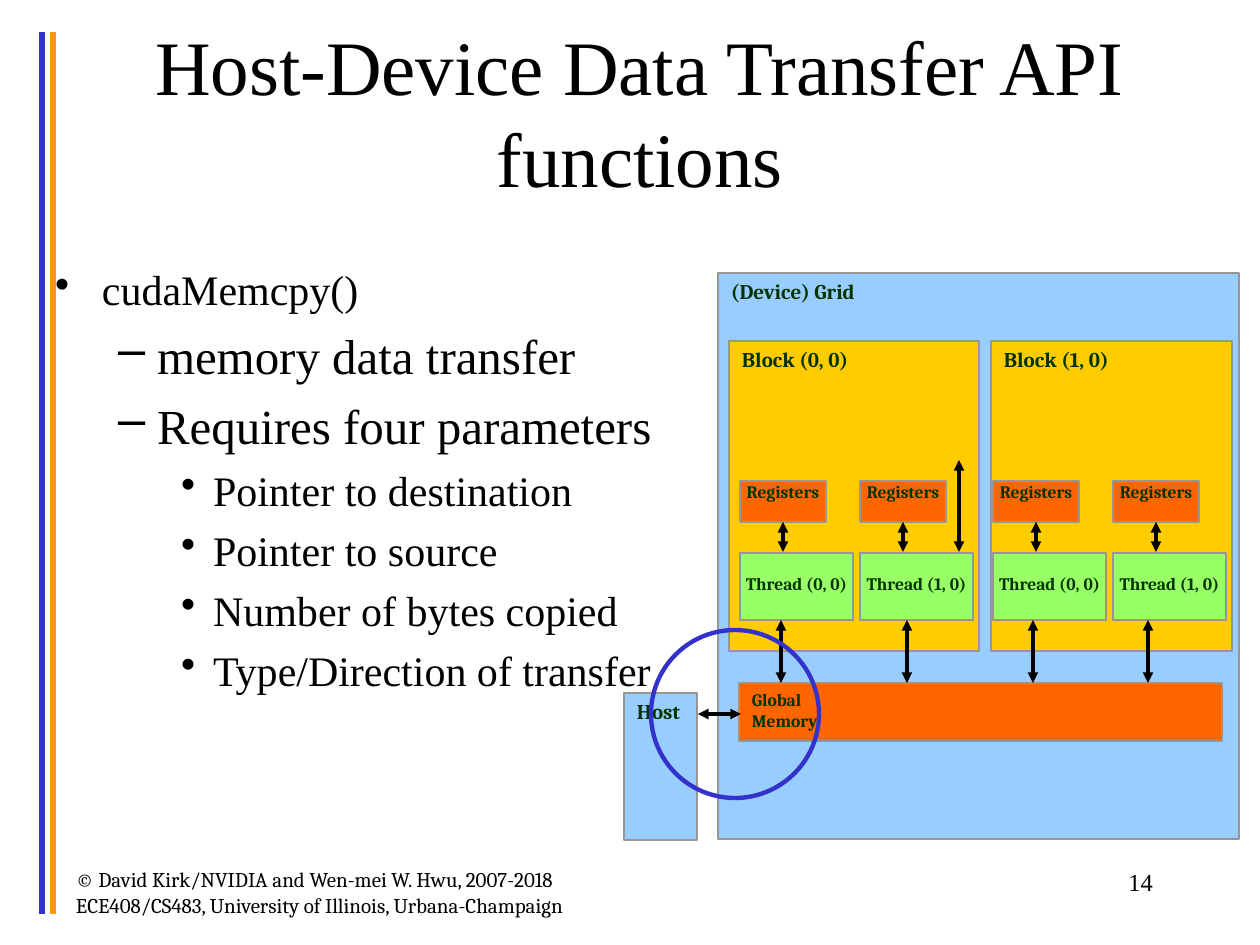
from dataclasses import dataclass

from lxml.etree import SubElement
from pptx import Presentation
from pptx.dml.color import RGBColor
from pptx.enum.shapes import MSO_CONNECTOR as CONN, MSO_SHAPE as SHAPE
from pptx.enum.text import MSO_ANCHOR as ANCHOR, PP_ALIGN as ALIGN
from pptx.oxml.ns import qn
from pptx.util import Emu, Pt


@dataclass(frozen=True)
class Theme:
    serif: str = "Times New Roman"
    label: str = "Cambria"
    black: str = "000000"
    blue: str = "3333CC"
    amber: str = "FF9900"
    sky: str = "99CCFF"
    gold: str = "FFCC00"
    green: str = "99FF66"
    orange: str = "FF6600"
    ink: str = "003300"
    edge: str = "969696"
    title: int = 44
    lead: int = 28
    body: int = 24
    number: int = 14
    heading: int = 12
    small: int = 10


T = Theme()
INSETS = (13, 6, 13, 6)
LEVELS = [(47, 47, "•"), (102, 39, "–"), (158, 32, "•")]
BODY = [
    (0, "cudaMemcpy()", T.body),
    (1, "memory data transfer", T.lead),
    (1, "Requires four parameters", T.lead),
    (2, "Pointer to destination", T.body),
    (2, "Pointer to source", T.body),
    (2, "Number of bytes copied", T.body),
    (2, "Type/Direction of transfer", T.body),
]


def px(n):
    return Emu(round(n * 914400 / 126))


def rgb(code):
    return RGBColor.from_string(code)


def add_run(p, text, size, font=T.serif, color=T.black, bold=False):
    r = p.add_run()
    r.text = text
    r.font.size, r.font.name, r.font.bold = Pt(size), font, bold
    r.font.color.rgb = rgb(color)


def frame(sp, insets=INSETS, anchor=ANCHOR.TOP):
    tf = sp.text_frame
    tf.word_wrap = True
    tf.vertical_anchor = anchor
    tf.margin_left, tf.margin_top, tf.margin_right, tf.margin_bottom = map(px, insets)
    return tf


def text_box(s, box, **options):
    return frame(s.shapes.add_textbox(*map(px, box)), **options)


def panel(s, box, fill, lines, size, align=ALIGN.LEFT, insets=INSETS):
    sp = s.shapes.add_shape(SHAPE.RECTANGLE, *map(px, box))
    sp.shadow.inherit = False
    sp.fill.solid()
    sp.fill.fore_color.rgb = rgb(fill)
    sp.line.color.rgb = rgb(T.edge)
    sp.line.width = Pt(0.75)
    tf = frame(sp, insets)
    for i, text in enumerate(lines):
        p = tf.add_paragraph() if i else tf.paragraphs[0]
        p.alignment = align
        add_run(p, text, size, T.label, T.ink, True)


def line(s, x1, y1, x2, y2, color, width):
    c = s.shapes.add_connector(CONN.STRAIGHT, *map(px, (x1, y1, x2, y2)))
    c.line.color.rgb = rgb(color)
    c.line.width = Pt(width)
    SubElement(c._element.spPr, qn("a:effectLst"))
    return c


def arrow(s, x1, y1, x2, y2):
    ln = line(s, x1, y1, x2, y2, T.black, 2).line._get_or_add_ln()
    for end in ("a:headEnd", "a:tailEnd"):
        SubElement(ln, qn(end), type="triangle")


def side_rules(s, box):
    x, y, w, h = box
    line(s, x, y, x, y + h, T.blue, 3)
    line(s, x + w, y, x + w, y + h, T.amber, 3)


def title(s, box):
    p = text_box(s, box, anchor=ANCHOR.MIDDLE).paragraphs[0]
    p.alignment = ALIGN.CENTER
    add_run(p, "Host-Device Data Transfer API functions", T.title)


def outline(s, box):
    tf = text_box(s, box, insets=(13, 12, 13, 6))
    for i, (level, text, size) in enumerate(BODY):
        p = tf.add_paragraph() if i else tf.paragraphs[0]
        margin, hang, bullet = LEVELS[level]
        p.level = level
        pPr = p._p.get_or_add_pPr()
        pPr.set("marL", str(px(margin)))
        pPr.set("indent", str(-px(hang)))
        SubElement(pPr, qn("a:buChar"), char=bullet)
        if i:
            p.space_before = Pt(size * 0.23)
        add_run(p, text, size)


def block(s, box, name, inset, memory_arrows):
    x, y, w, h = box
    panel(s, box, T.gold, [name], T.heading)
    for i, memory_x in enumerate(memory_arrows):
        left = x + inset + 120 * i
        panel(s, (left, y + 212, 113, 67), T.green, [f"Thread ({i}, 0)"],
              T.small, ALIGN.CENTER, (0, 20, 0, 0))
        panel(s, (left, y + 140, 86, 41), T.orange, ["Registers"],
              T.small, ALIGN.CENTER, (0, 0, 0, 0))
        arrow(s, left + 43, y + 211, left + 43, y + 181)
        arrow(s, x + memory_x, y + 279, x + memory_x, y + 342)


def device(s, box):
    x, y, w, h = box
    panel(s, box, T.sky, ["(Device) Grid"], T.heading)
    panel(s, (x + 21, y + 410, 483, 58), T.orange, ["Global", "Memory"], T.small)
    block(s, (x + 11, y + 68, 250, 310), "Block (0, 0)", 11, (52, 178))
    arrow(s, x + 241, y + 279, x + 241, y + 187)
    block(s, (x + 273, y + 68, 241, 310), "Block (1, 0)", 2, (42, 157))


def transfer(s, box):
    x, y, w, h = box
    arrow(s, x + 47, y + 84, x + 90, y + 84)
    ring = s.shapes.add_shape(SHAPE.FLOWCHART_CONNECTOR, *map(px, box))
    ring.shadow.inherit = False
    ring.fill.background()
    ring.line.color.rgb = rgb(T.blue)
    ring.line.width = Pt(2.5)


def footer(s, box):
    x, y, w, h = box
    p = text_box(s, (x + w - 262, y, 262, h)).paragraphs[0]
    p.alignment = ALIGN.RIGHT
    add_run(p, "14", T.number)
    p = text_box(s, (x, y, 577, h)).paragraphs[0]
    add_run(p, "© David Kirk/NVIDIA and Wen-mei W. Hwu, 2007-2018", T.heading, T.label)
    p.add_line_break()
    add_run(p, "ECE408/CS483, University of Illinois, Urbana-Champaign", T.heading, T.label)


def main():
    prs = Presentation()
    prs.slide_width, prs.slide_height = px(1260), px(945)
    s = prs.slides.add_slide(prs.slide_layouts[6])
    side_rules(s, (42, 32, 11, 882))
    panel(s, (624, 693, 73, 147), T.sky, ["Host"], T.heading)
    title(s, (94, 32, 1092, 157))
    outline(s, (42, 252, 661, 630))
    device(s, (718, 273, 521, 566))
    transfer(s, (651, 630, 168, 168))
    footer(s, (63, 861, 1103, 63))
    prs.save("out.pptx")


if __name__ == "__main__":
    main()
